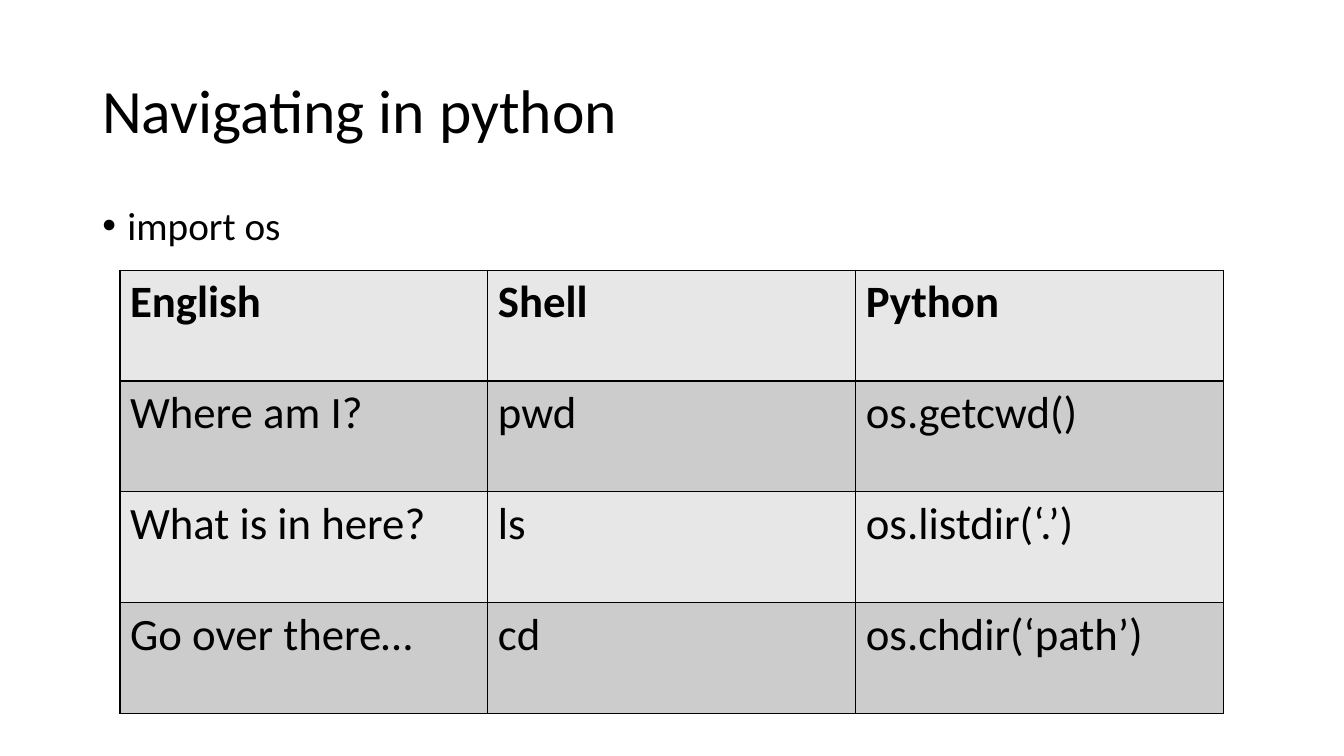
from lxml import etree
from pptx import Presentation
from pptx.dml.color import RGBColor
from pptx.enum.text import MSO_ANCHOR
from pptx.oxml.ns import qn
from pptx.util import Inches, Pt

TOP, MIDDLE = MSO_ANCHOR.TOP, MSO_ANCHOR.MIDDLE
UNIT = Inches(1) // 12  # one grid step
COLUMNS, ROWS = 160, 90  # grid steps across and down the slide
BLANK_LAYOUT = 6
BORDER_SIDES = ("a:lnL", "a:lnR", "a:lnT", "a:lnB")

MARGIN, CONTENT_WIDTH = 11, 138
COMMANDS = [
    ["English", "Shell", "Python"],
    ["Where am I?", "pwd", "os.getcwd()"],
    ["What is in here?", "ls", "os.listdir(‘.’)"],
    ["Go over there…", "cd", "os.chdir(‘path’)"],
]


def color(value):
    """Turn a hex string into a colour."""
    return RGBColor.from_string(value)


def grid(*steps):
    """Turn grid steps into lengths."""
    return [round(step * UNIT) for step in steps]


class SlideBuilder:
    """Holds the style and the current slide."""

    font = "Calibri"
    ink = "000000"
    row_fills = ("E7E7E7", "CCCCCC")
    border_width = Pt(1)

    def __init__(self, presentation):
        """Add a blank slide to the presentation."""
        layout = presentation.slide_layouts[BLANK_LAYOUT]
        self.slide = presentation.slides.add_slide(layout)

    def format_runs(self, paragraph, size, bold=False):
        """Apply the slide's font to every run of a paragraph."""
        for run in paragraph.runs:
            run.font.name = self.font
            run.font.size = Pt(size)
            run.font.bold = bold
            run.font.color.rgb = color(self.ink)

    def text(self, wording, box, size, anchor=TOP):
        """Add a wrapped text box and return its paragraph."""
        text_frame = self.slide.shapes.add_textbox(*grid(*box)).text_frame
        text_frame.word_wrap = True
        text_frame.vertical_anchor = anchor
        text_frame.text = wording
        paragraph = text_frame.paragraphs[0]
        paragraph.line_spacing = 0.9
        self.format_runs(paragraph, size)
        return paragraph

    def bullet(self, wording, box, size):
        """Add a text box with one bulleted paragraph."""
        paragraph = self.text(wording, box, size)
        paragraph.space_before = Pt(10)
        properties = paragraph._p.get_or_add_pPr()
        properties.set("marL", str(Inches(0.25)))
        properties.set("indent", str(-Inches(0.25)))
        etree.SubElement(properties, qn("a:buFont"), typeface="Arial")
        etree.SubElement(properties, qn("a:buChar"), char="•")

    def border(self, cell):
        """Draw a solid line on all four sides of a cell."""
        properties = cell._tc.get_or_add_tcPr()
        for position, side in enumerate(BORDER_SIDES):
            line = etree.Element(qn(side), w=str(self.border_width))
            fill = etree.SubElement(line, qn("a:solidFill"))
            etree.SubElement(fill, qn("a:srgbClr"), val=self.ink)
            properties.insert(position, line)

    def table(self, rows, box, size):
        """Add a banded table with a bold first row."""
        shape = self.slide.shapes.add_table(len(rows), len(rows[0]), *grid(*box))
        for row_index, row in enumerate(rows):
            for column_index, wording in enumerate(row):
                cell = shape.table.cell(row_index, column_index)
                cell.text = wording
                cell.fill.solid()
                cell.fill.fore_color.rgb = color(self.row_fills[row_index % 2])
                self.format_runs(cell.text_frame.paragraphs[0], size, row_index == 0)
                self.border(cell)


def main():
    """Build the slide and save it."""
    presentation = Presentation()
    presentation.slide_width, presentation.slide_height = grid(COLUMNS, ROWS)
    builder = SlideBuilder(presentation)
    builder.text("Navigating in python", (MARGIN, 4.8, CONTENT_WIDTH, 17.4), 44, MIDDLE)
    builder.bullet("import os", (MARGIN, 24, CONTENT_WIDTH, 9.36), 28)
    builder.table(COMMANDS, (14.28, 32.16, 131.4, 52.8), 32)
    presentation.save("out.pptx")


main()
